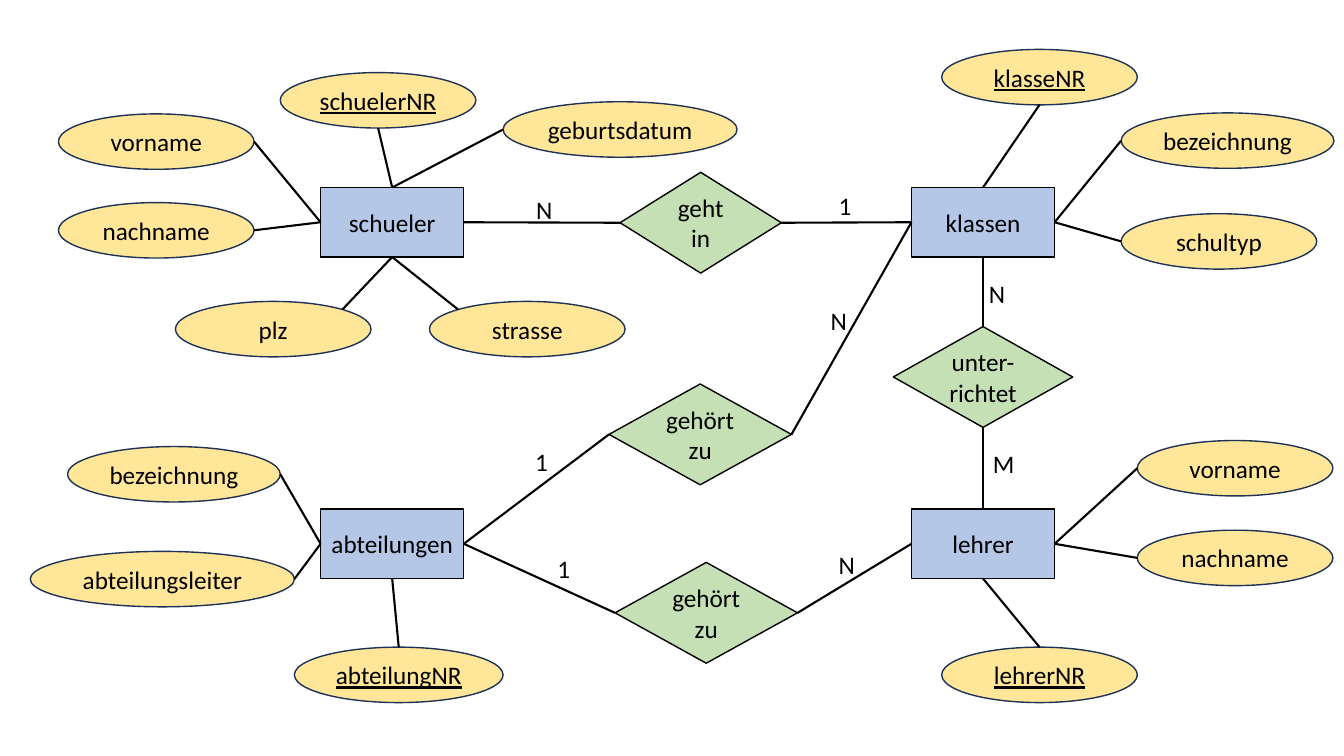
"""Build the entity-relationship diagram of a school database as one slide."""
from dataclasses import dataclass

from lxml.etree import SubElement
from pptx import Presentation
from pptx.dml.color import RGBColor
from pptx.enum.shapes import MSO_CONNECTOR as Connector, MSO_SHAPE as Shape
from pptx.enum.text import MSO_ANCHOR as Anchor, PP_ALIGN as Align
from pptx.oxml.ns import qn
from pptx.util import Pt

PX = 9144
TOP, LEFT, BOTTOM, RIGHT = range(4)
RIM = {"top": (0.5, 0), "left": (0, 0.5), "right": (1, 0.5),
       "top left": (0.146, 0.146), "top right": (0.854, 0.146)}


@dataclass(frozen=True)
class Theme:
    font: str = "Calibri"
    size: Pt = Pt(18)
    outline: Pt = Pt(1)
    link: Pt = Pt(1.5)
    ink: RGBColor = RGBColor(0x00, 0x00, 0x00)
    entity: RGBColor = RGBColor(0xB4, 0xC7, 0xE7)
    attribute: RGBColor = RGBColor(0xFF, 0xE6, 0x99)
    attribute_edge: RGBColor = RGBColor(0x1E, 0x32, 0x56)
    relation: RGBColor = RGBColor(0xC5, 0xE0, 0xB4)


theme = Theme()
deck = Presentation()
deck.slide_width, deck.slide_height = 1333 * PX, 750 * PX
slide = deck.slides.add_slide(deck.slide_layouts[6])


def add_node(preset, caption, box, fill, edge=theme.ink, key=False):
    node = slide.shapes.add_shape(preset, *(length * PX for length in box))
    node.shadow.inherit = False
    node.fill.solid()
    node.fill.fore_color.rgb = fill
    node.line.color.rgb = edge
    node.line.width = theme.outline
    frame = node.text_frame
    frame.text = caption
    frame.word_wrap = preset == Shape.DIAMOND
    frame.vertical_anchor = Anchor.MIDDLE
    frame.paragraphs[0].alignment = Align.CENTER
    font = frame.paragraphs[0].runs[0].font
    font.name, font.size, font.color.rgb = theme.font, theme.size, theme.ink
    if key:
        font.underline = True
    return node


def add_link(node, spot, entity, side):
    across, down = RIM[spot]
    x = int(node.left + across * node.width)
    y = int(node.top + down * node.height)
    link = slide.shapes.add_connector(Connector.STRAIGHT, x, y, x, y)
    link.end_connect(entity, side)
    link.line.color.rgb = theme.ink
    link.line.width = theme.link
    SubElement(link._element.spPr, qn("a:effectLst"))
    return link


entities = {}
for name, x, y in [("schueler", 318, 186), ("klassen", 904, 186),
                   ("abteilungen", 318, 505), ("lehrer", 904, 505)]:
    entities[name] = add_node(Shape.RECTANGLE, name, (x, y, 142, 69), theme.entity)

attributes = [
    ("schuelerNR", 278, 72, 194, "top", "schueler", TOP),
    ("vorname", 58, 113, 194, "right", "schueler", LEFT),
    ("nachname", 58, 201, 194, "right", "schueler", LEFT),
    ("plz", 174, 299, 194, "top right", "schueler", BOTTOM),
    ("strasse", 426, 299, 194, "top left", "schueler", BOTTOM),
    ("geburtsdatum", 499, 101, 232, "left", "schueler", TOP),
    ("klasseNR", 934, 49, 194, "top", "klassen", TOP),
    ("bezeichnung", 1112, 112, 211, "left", "klassen", RIGHT),
    ("schultyp", 1112, 212, 194, "left", "klassen", RIGHT),
    ("abteilungNR", 292, 642, 207, "top", "abteilungen", BOTTOM),
    ("abteilungsleiter", 30, 547, 262, "right", "abteilungen", LEFT),
    ("bezeichnung", 67, 443, 211, "right", "abteilungen", LEFT),
    ("lehrerNR", 934, 642, 194, "top", "lehrer", BOTTOM),
    ("vorname", 1128, 437, 194, "left", "lehrer", RIGHT),
    ("nachname", 1128, 526, 194, "left", "lehrer", RIGHT),
]
RIM["bottom"] = (0.5, 1)
for name, x, y, width, spot, owner, side in attributes:
    attribute = add_node(Shape.OVAL, name, (x, y, width, 55), theme.attribute,
                         theme.attribute_edge, key=name.endswith("NR"))
    if spot == "top" and side == TOP:
        spot = "bottom"
    add_link(attribute, spot, entities[owner], side)

relations = [
    ("geht in", 615, 171, 160,
     [("left", LEFT, "schueler", RIGHT), ("right", RIGHT, "klassen", LEFT)]),
    ("unter-richtet", 886, 324, 178,
     [("top", TOP, "klassen", BOTTOM), ("bottom", BOTTOM, "lehrer", TOP)]),
    ("gehört zu", 610, 558, 181,
     [("left", LEFT, "abteilungen", RIGHT), ("right", RIGHT, "lehrer", LEFT)]),
    ("gehört zu", 604, 381, 181,
     [("left", LEFT, "abteilungen", RIGHT), ("right", RIGHT, "klassen", LEFT)]),
]
for name, x, y, width, ends in relations:
    relation = add_node(Shape.DIAMOND, name, (x, y, width, 100), theme.relation)
    for spot, corner, partner, side in ends:
        link = add_link(relation, spot, entities[partner], side)
        link.begin_connect(relation, corner)

for count, x, y in [("1", 822, 184), ("1", 543, 544), ("N", 522, 188),
                    ("N", 971, 271), ("N", 822, 540), ("N", 814, 298),
                    ("1", 521, 438), ("M", 975, 440)]:
    cardinality = slide.shapes.add_textbox(x * PX, y * PX, 27 * PX, 40 * PX)
    cardinality.text_frame.word_wrap = True
    cardinality.text_frame.text = count
    font = cardinality.text_frame.paragraphs[0].runs[0].font
    font.name, font.size, font.color.rgb = theme.font, theme.size, theme.ink

deck.save("out.pptx")
